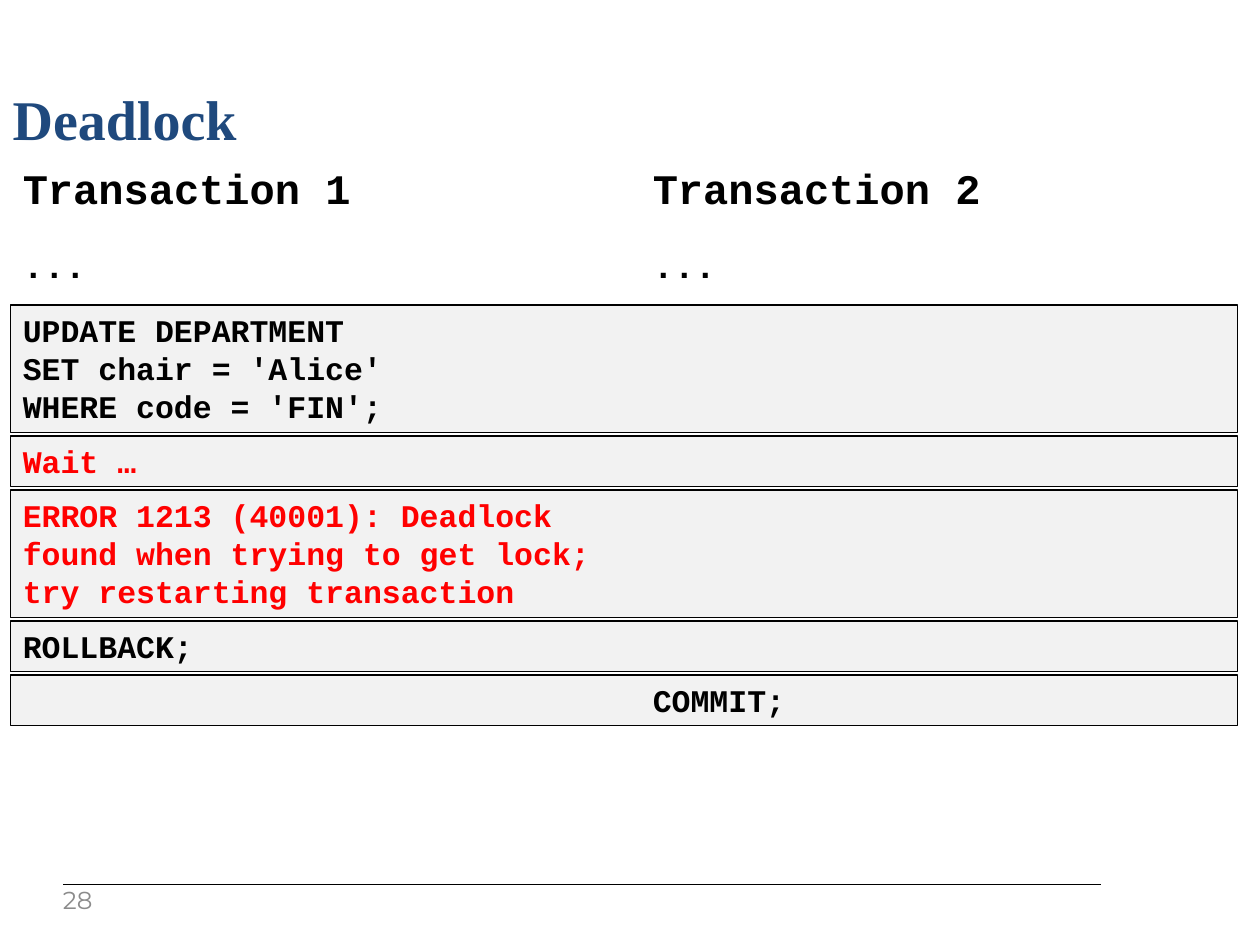
from lxml import etree
from pptx import Presentation
from pptx import util as u
from pptx.dml.color import RGBColor
from pptx.enum import shapes, text
from pptx.oxml.ns import qn

COLORS = {"title": "1F497D", "code": "000000", "error": "FF0000",
          "panel": "F2F2F2", "line": "000000", "number": "8B8B8B"}
CODE_FONT = "Courier New"
LEFT, WIDTH = 0.21, 24.74
SECOND_COLUMN = u.Cm(12.7)
PANEL_TOP, PANEL_GAP = 6.15, 0.07

# Statements in time order: lines, colour, panel height in cm
STEPS = [
    (["UPDATE DEPARTMENT", "SET chair = 'Alice'", "WHERE code = 'FIN';"], "code", 2.57),
    (["Wait …"], "error", 1.02),
    (["ERROR 1213 (40001): Deadlock", "found when trying to get lock;",
      "try restarting transaction"], "error", 2.57),
    (["ROLLBACK;"], "code", 1.02),
    (["\tCOMMIT;"], "code", 1.02),
]


def rgb(name):
    return RGBColor.from_string(COLORS[name])


def add_run(p, words, font, size, color, bold=False):
    r = p.add_run()
    r.text = words
    r.font.name, r.font.size, r.font.bold = font, u.Pt(size), bold
    r.font.color.rgb = rgb(color)


def add_column_tab(p):
    tabs = etree.SubElement(p._p.get_or_add_pPr(), qn("a:tabLst"))
    etree.SubElement(tabs, qn("a:tab"), pos=str(SECOND_COLUMN), algn="l")


def fill_code(sp, lines, size, color):
    tf = sp.text_frame
    tf.word_wrap = True
    tf.vertical_anchor = text.MSO_ANCHOR.TOP
    for i, line in enumerate(lines):
        p = tf.add_paragraph() if i else tf.paragraphs[0]
        if "\t" in line:
            add_column_tab(p)
        p.alignment = text.PP_ALIGN.LEFT
        add_run(p, line, CODE_FONT, size, color, bold=True)


def add_title(s, words):
    sp = s.shapes.title
    sp.left, sp.top, sp.width, sp.height = 0, u.Cm(1.53), u.Cm(25.4), u.Cm(1.7)
    tf = sp.text_frame
    tf.vertical_anchor = text.MSO_ANCHOR.MIDDLE
    p = tf.paragraphs[0]
    p.alignment = text.PP_ALIGN.LEFT
    add_run(p, words, "Times New Roman", 32, "title", bold=True)


def add_column_row(s, words, top, height, size):
    sp = s.shapes.add_textbox(u.Cm(LEFT), u.Cm(top), u.Cm(WIDTH), u.Cm(height))
    fill_code(sp, [words], size, "code")


def add_panel(s, lines, color, top, height):
    sp = s.shapes.add_shape(shapes.MSO_SHAPE.RECTANGLE, u.Cm(LEFT), u.Cm(top),
                            u.Cm(WIDTH), u.Cm(height))
    sp.shadow.inherit = False
    sp.fill.solid()
    sp.fill.fore_color.rgb = rgb("panel")
    sp.line.color.rgb = rgb("line")
    sp.line.width = u.Pt(0.75)
    fill_code(sp, lines, 18, color)


def add_footer(s, number):
    y = u.Cm(17.83)
    rule = s.shapes.add_connector(shapes.MSO_CONNECTOR.STRAIGHT,
                                  u.Cm(1.27), y, u.Cm(22.2), y)
    rule.line.color.rgb = rgb("line")
    rule.line.width = u.Pt(0.75)
    etree.SubElement(rule._element.spPr, qn("a:effectLst"))

    sp = s.shapes.add_textbox(u.Cm(1.27), u.Cm(17.93), u.Cm(1.02), u.Cm(0.53))
    tf = sp.text_frame
    tf.word_wrap = True
    tf.vertical_anchor = text.MSO_ANCHOR.MIDDLE
    tf.margin_left = tf.margin_top = 0
    add_run(tf.paragraphs[0], number, "Montserrat", 14, "number")


def main():
    prs = Presentation()
    prs.slide_width, prs.slide_height = u.Cm(25.4), u.Cm(19.05)
    s = prs.slides.add_slide(prs.slide_layouts[5])

    # Title and column headings
    add_title(s, "Deadlock")
    add_column_row(s, "Transaction 1\tTransaction 2", 3.15, 1.27, 24)
    add_column_row(s, "...\t...", 4.78, 1.12, 20)

    # Stack of statements
    top = PANEL_TOP
    for lines, color, height in STEPS:
        add_panel(s, lines, color, top, height)
        top += height + PANEL_GAP

    add_footer(s, "28")
    prs.save("out.pptx")


if __name__ == "__main__":
    main()
